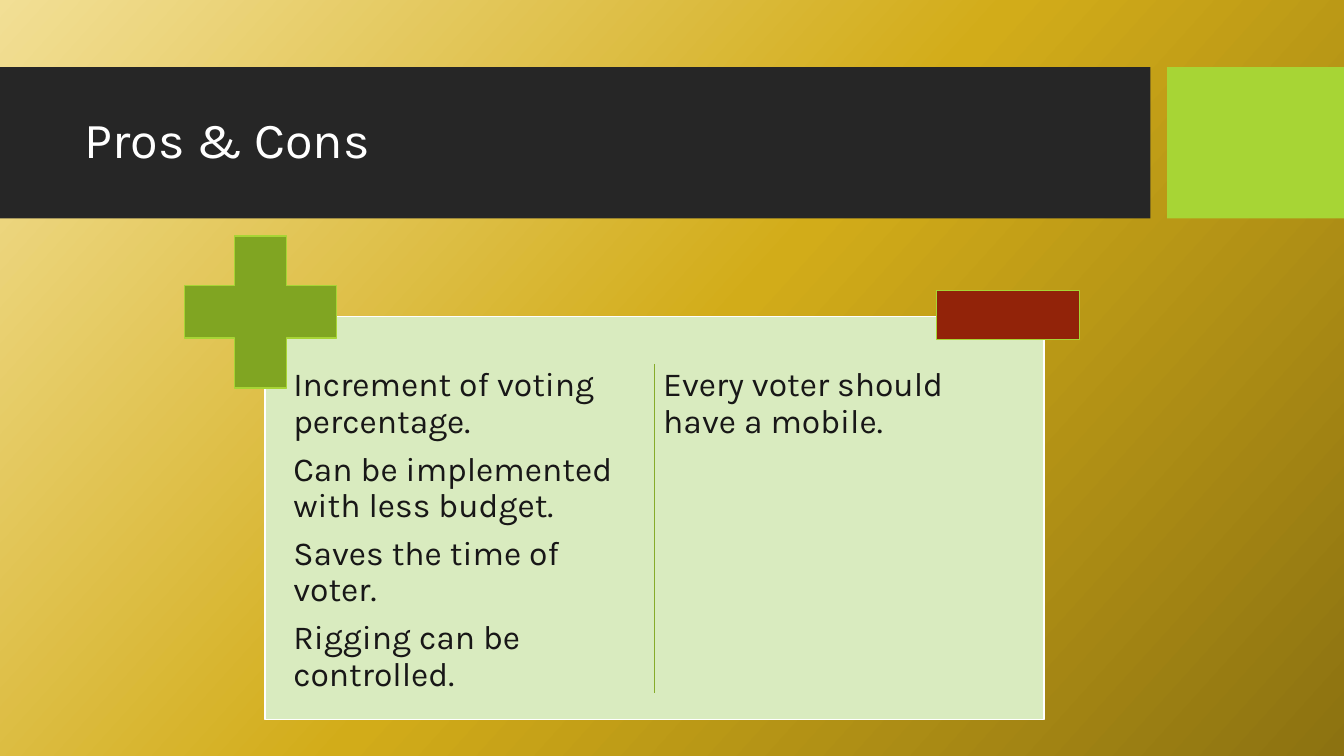
from copy import deepcopy

from lxml import etree
from pptx import Presentation
from pptx.dml.color import RGBColor
from pptx.enum.shapes import MSO_CONNECTOR, MSO_SHAPE
from pptx.enum.text import MSO_ANCHOR
from pptx.oxml.ns import qn
from pptx.util import Pt

RECT, PLUS = MSO_SHAPE.RECTANGLE, MSO_SHAPE.CROSS
STRAIGHT = MSO_CONNECTOR.STRAIGHT
TOP, MIDDLE = MSO_ANCHOR.TOP, MSO_ANCHOR.MIDDLE

WHITE, INK, CHARCOAL = "FFFFFF", "181717", "262626"
LIME, GREEN, DIVIDER = "A7D535", "80A522", "86AB2A"
PALE, RED = "D9EBBF", "922309"
GOLD_STOPS = [(0, "F2DF95"), (0.5, "D2AC19"), (1, "8C7211")]
GOLD_ANGLE = 42

PROS = [
    "Increment of voting percentage.",
    "Can be implemented with less budget.",
    "Saves the time of voter.",
    "Rigging can be controlled.",
]
CONS = ["Every voter should have a mobile."]
COLUMN_LEFT, COLUMN_STEP = 205.92, 264.24


def rgb(value):
    return RGBColor.from_string(value)


class Deck:
    font = "Karla"
    line_spacing = 0.9
    line_width = 1

    def __init__(self, width, height):
        self.prs = Presentation()
        self.prs.slide_width, self.prs.slide_height = Pt(width), Pt(height)
        self.s = self.prs.slides.add_slide(self.prs.slide_layouts[6])

    def background(self, stops, angle):
        """Fill the slide with a linear gradient, its angle given clockwise."""
        fill = self.s.background.fill
        fill.gradient()
        fill.gradient_angle = 360 - angle
        stop_list = self.s.element.find(".//" + qn("a:gsLst"))
        while len(stop_list) < len(stops):
            stop_list.append(deepcopy(stop_list[0]))
        for stop, (position, color) in zip(fill.gradient_stops, stops):
            stop.position = position
            stop.color.rgb = rgb(color)

    def shape(self, kind, x, y, w, h, fill, line=None, adjust=None):
        sp = self.s.shapes.add_shape(kind, Pt(x), Pt(y), Pt(w), Pt(h))
        sp.shadow.inherit = False
        sp.fill.solid()
        sp.fill.fore_color.rgb = rgb(fill)
        if line:
            sp.line.color.rgb = rgb(line)
            sp.line.width = Pt(self.line_width)
        else:
            sp.line.fill.background()
        if adjust is not None:
            sp.adjustments[0] = adjust

    def text(self, x, y, w, h, lines, size, color, anchor=TOP, inset=(7.2, 3.6), after=0):
        tf = self.s.shapes.add_textbox(Pt(x), Pt(y), Pt(w), Pt(h)).text_frame
        side, edge = map(Pt, inset)
        frame_format = {
            "word_wrap": True, "vertical_anchor": anchor,
            "margin_left": side, "margin_right": side,
            "margin_top": edge, "margin_bottom": edge,
        }
        for name, value in frame_format.items():
            setattr(tf, name, value)
        for i, line in enumerate(lines):
            p = tf.paragraphs[0] if i == 0 else tf.add_paragraph()
            p.line_spacing = self.line_spacing
            p.space_after = Pt(after)
            r = p.add_run()
            r.text = line
            for name, value in {"name": self.font, "size": Pt(size)}.items():
                setattr(r.font, name, value)
            r.font.color.rgb = rgb(color)

    def line(self, x1, y1, x2, y2, color):
        c = self.s.shapes.add_connector(STRAIGHT, Pt(x1), Pt(y1), Pt(x2), Pt(y2))
        c.line.color.rgb = rgb(color)
        c.line.width = Pt(self.line_width)
        etree.SubElement(c.element.spPr, qn("a:effectLst"))


def main():
    deck = Deck(960, 540)
    deck.background(GOLD_STOPS, GOLD_ANGLE)

    deck.shape(RECT, 0, 48, 821.75, 108, CHARCOAL)
    deck.shape(RECT, 833.75, 48, 126.25, 108, LIME)
    deck.text(53.28, 59, 756.72, 85, ["Pros & Cons"], 36, WHITE, anchor=MIDDLE)

    deck.shape(RECT, 189.25, 226, 556.5, 288, PALE, WHITE)
    for i, points in enumerate([PROS, CONS]):
        deck.text(COLUMN_LEFT + i * COLUMN_STEP, 259.2, 258.5, 246.25, points,
                  24, INK, inset=(3.6, 3.6), after=8.4)

    deck.shape(PLUS, 131.75, 168.5, 108.75, 108.75, GREEN, LIME, adjust=0.328)
    deck.shape(RECT, 669, 207.5, 102.25, 35, RED, LIME)
    deck.line(467.4, 260, 467.4, 495.25, DIVIDER)

    deck.prs.save("out.pptx")


if __name__ == "__main__":
    main()
